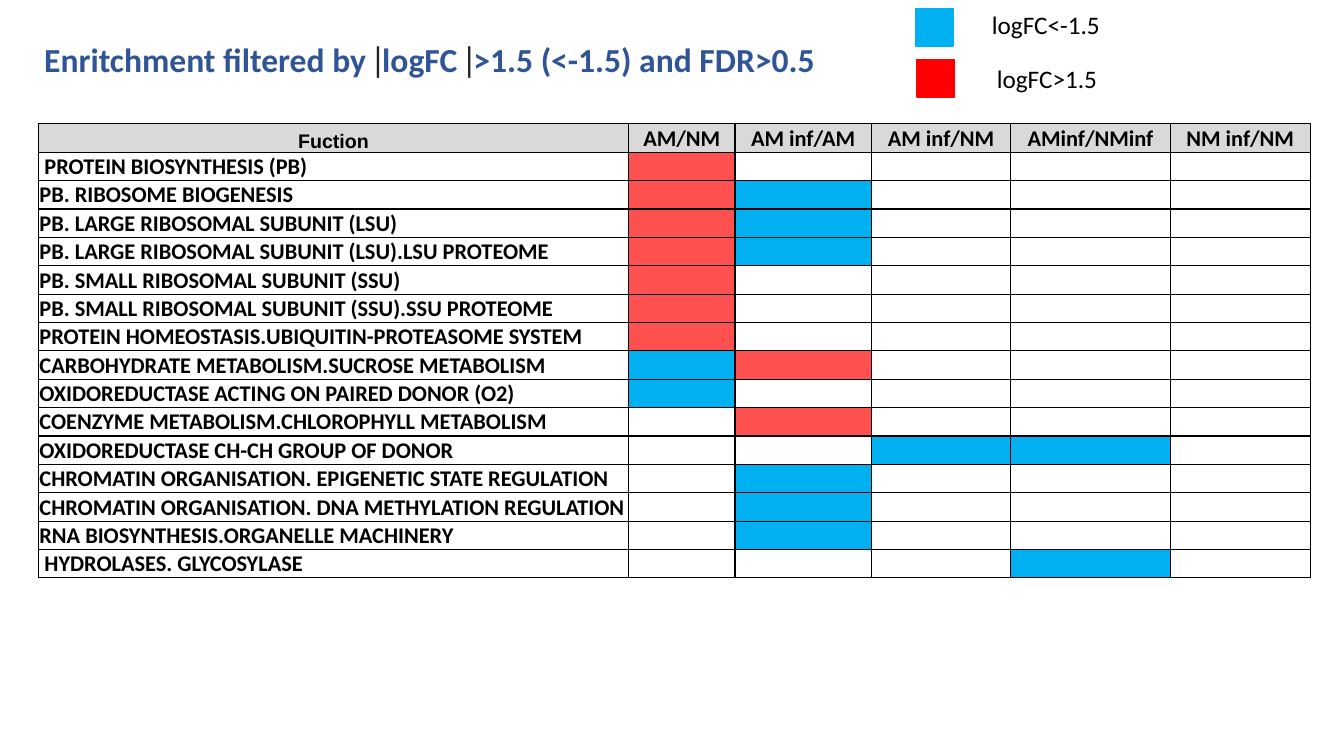
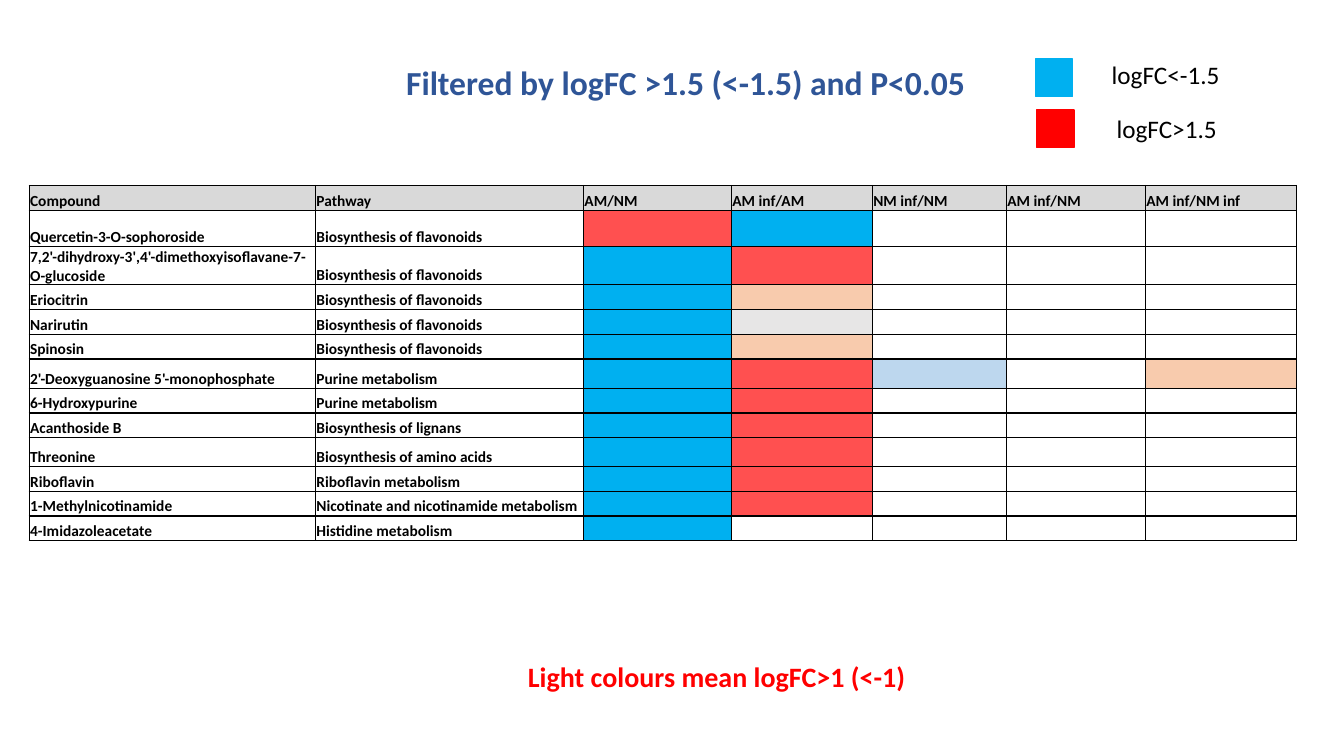
import pptx
import pptx.util
import pptx.dml.color
import pptx.enum.shapes
import pptx.enum.text
import pptx.oxml
import pptx.oxml.ns
import lxml.etree

Pt = pptx.util.Pt
Align = pptx.enum.text.PP_ALIGN
qn = pptx.oxml.ns.qn

COLORS = {
    "title": "2F5597", "bar": "202124", "text": "000000",
    "head": "D9D9D9", "down": "00B0F0", "up": "FF0000",
}
MARKS = {
    "U": "FF5050", "D": COLORS["down"], "u": "F8CBAD",
    "d": "BDD7EE", "n": "E7E6E6",
}
TITLE = dict(size=24, color=COLORS["title"], bold=True)
BAR = dict(size=24, color=COLORS["bar"], font="Lato")

GENES_HEAD = ["Fuction", "AM/NM", "AM inf/AM", "AM inf/NM",
              "AMinf/NMinf", "NM inf/NM"]
GENES = [
    (" PROTEIN BIOSYNTHESIS (PB)", "U...."),
    ("PB. RIBOSOME BIOGENESIS", "UD..."),
    ("PB. LARGE RIBOSOMAL SUBUNIT (LSU)", "UD..."),
    ("PB. LARGE RIBOSOMAL SUBUNIT (LSU).LSU PROTEOME", "UD..."),
    ("PB. SMALL RIBOSOMAL SUBUNIT (SSU)", "U...."),
    ("PB. SMALL RIBOSOMAL SUBUNIT (SSU).SSU PROTEOME", "U...."),
    ("PROTEIN HOMEOSTASIS.UBIQUITIN-PROTEASOME SYSTEM", "U...."),
    ("CARBOHYDRATE METABOLISM.SUCROSE METABOLISM", "DU..."),
    ("OXIDOREDUCTASE ACTING ON PAIRED DONOR (O2)", "D...."),
    ("COENZYME METABOLISM.CHLOROPHYLL METABOLISM", ".U..."),
    ("OXIDOREDUCTASE CH-CH GROUP OF DONOR", "..DD."),
    ("CHROMATIN ORGANISATION. EPIGENETIC STATE REGULATION", ".D..."),
    ("CHROMATIN ORGANISATION. DNA METHYLATION REGULATION", ".D..."),
    ("RNA BIOSYNTHESIS.ORGANELLE MACHINERY", ".D..."),
    (" HYDROLASES. GLYCOSYLASE", "...D."),
]

DRUGS_HEAD = ["Compound", "Pathway", "AM/NM", "AM inf/AM", "NM inf/NM",
              "AM inf/NM", "AM inf/NM inf"]
FLAVO = "Biosynthesis of flavonoids"
PURINE = "Purine metabolism"
DRUGS = [
    ("Quercetin-3-O-sophoroside", FLAVO, "UD..."),
    ("7,2'-dihydroxy-3',4'-dimethoxyisoflavane-7-O-glucoside", FLAVO, "DU..."),
    ("Eriocitrin", FLAVO, "Du..."),
    ("Narirutin", FLAVO, "Dn..."),
    ("Spinosin", FLAVO, "Du..."),
    ("2'-Deoxyguanosine 5'-monophosphate", PURINE, "DUd.u"),
    ("6-Hydroxypurine", PURINE, "DU..."),
    ("Acanthoside B", "Biosynthesis of lignans", "DU..."),
    ("Threonine", "Biosynthesis of amino acids", "DU..."),
    ("Riboflavin", "Riboflavin metabolism", "DU..."),
    ("1-Methylnicotinamide", "Nicotinate and nicotinamide metabolism", "DU..."),
    ("4-Imidazoleacetate", "Histidine metabolism", "D...."),
]


def rgb(code):
    return pptx.dml.color.RGBColor.from_string(code)


def write(par, text, size=18, font="Calibri", color=COLORS["text"],
          bold=False, align=Align.LEFT):
    par.alignment = align
    run = par.add_run()
    run.text = text
    run.font.size = Pt(size)
    run.font.name = font
    run.font.bold = bold
    run.font.color.rgb = rgb(color)


def add_text(slide, left, top, width, height, *parts):
    box = slide.shapes.add_textbox(Pt(left), Pt(top), Pt(width), Pt(height))
    box.text_frame.word_wrap = True
    for text, style in parts:
        write(box.text_frame.paragraphs[0], text, **style)


def add_square(slide, left, top, color):
    shape = slide.shapes.add_shape(
        pptx.enum.shapes.MSO_SHAPE.RECTANGLE,
        Pt(left), Pt(top), Pt(26.8), Pt(26.8))
    shape.shadow.inherit = False
    shape.fill.solid()
    shape.fill.fore_color.rgb = rgb(color)
    shape.line.color.rgb = rgb(color)
    shape.line.width = Pt(1)


def add_legend(slide, left, top):
    add_square(slide, left, top, COLORS["down"])
    add_text(slide, left + 47.5, top - 3, 169, 29, ("logFC<-1.5", {}))
    add_square(slide, left + 1, top + 36.5, COLORS["up"])
    add_text(slide, left + 51, top + 35.7, 169, 29, ("logFC>1.5", {}))


def frame_cell(cell):
    props = cell._tc.get_or_add_tcPr()
    for side in ("a:lnL", "a:lnR", "a:lnT", "a:lnB"):
        line = lxml.etree.SubElement(props, qn(side), w=str(Pt(1)))
        fill = lxml.etree.SubElement(line, qn("a:solidFill"))
        lxml.etree.SubElement(fill, qn("a:srgbClr"), val=COLORS["text"])


def fill_cell(cell, text, color, style):
    cell.margin_left = cell.margin_right = cell.margin_top = Pt(0.7)
    cell.margin_bottom = 0
    cell.vertical_anchor = pptx.enum.text.MSO_ANCHOR.BOTTOM
    frame_cell(cell)
    if color:
        cell.fill.solid()
        cell.fill.fore_color.rgb = rgb(color)
    else:
        cell.fill.background()
    par = cell.text_frame.paragraphs[0]
    if text:
        write(par, text, bold=True, **style)
    else:
        lxml.etree.SubElement(par._p, qn("a:endParaRPr"),
                              sz=str(style["size"] * 100))


def add_grid(slide, left, top, widths, heights, heads, rows, size):
    grid = slide.shapes.add_table(
        len(heights), len(widths), Pt(left), Pt(top),
        Pt(sum(widths)), Pt(sum(heights))).table
    grid.first_row = grid.horz_banding = False
    for col, width in zip(grid.columns, widths):
        col.width = Pt(width)
    for row, height in zip(grid.rows, heights):
        row.height = Pt(height)
    for c, (text, style) in enumerate(heads):
        fill_cell(grid.cell(0, c), text, COLORS["head"], style)
    for r, (*names, marks) in enumerate(rows, 1):
        cells = [(name, None) for name in names]
        cells += [("", MARKS.get(mark)) for mark in marks]
        for c, (text, color) in enumerate(cells):
            fill_cell(grid.cell(r, c), text, color, dict(size=size))


def add_genes(slide):
    heads = [(text, dict(size=16, align=Align.CENTER)) for text in GENES_HEAD]
    heads[0][1].update(size=14, font="Arial")
    widths = [421.5, 76, 97.5, 99.5, 114, 100]
    heights = [20.25] * (len(GENES) + 1)
    add_grid(slide, 27.5, 88.5, widths, heights, heads, GENES, 16)
    add_text(slide, 24.5, 24.5, 652, 36,
             ("Enritchment filtered by ", TITLE), ("|", BAR),
             ("logFC ", TITLE), ("|", BAR),
             (">1.5 (<-1.5) and FDR>0.5", TITLE))
    add_legend(slide, 654, 6)


def add_drugs(slide):
    add_text(slide, 283, 41, 652, 36,
             ("Filtered by logFC >1.5 (<-1.5) and P<0.05", TITLE))
    add_legend(slide, 739.5, 42)
    add_text(slide, 370, 467.3, 384.5, 31.5,
             ("Light colours mean logFC>1 (<-1)",
              dict(size=20, color=COLORS["up"], bold=True)))
    heads = [(text, dict(size=11)) for text in DRUGS_HEAD]
    widths = [204.5, 191.5, 105.7, 100.7, 95.7, 99.3, 108]
    tall = {1: 25.9, 2: 27.3, 6: 20.9, 9: 20.5}
    heights = [tall.get(r, 17.7) for r in range(len(DRUGS) + 1)]
    add_grid(slide, 20.8, 132.5, widths, heights, heads, DRUGS, 11)


def main():
    deck = pptx.Presentation()
    deck.slide_width, deck.slide_height = Pt(960), Pt(540)
    for build in (add_genes, add_drugs):
        build(deck.slides.add_slide(deck.slide_layouts[6]))
    deck.save("out.pptx")


if __name__ == "__main__":
    main()
